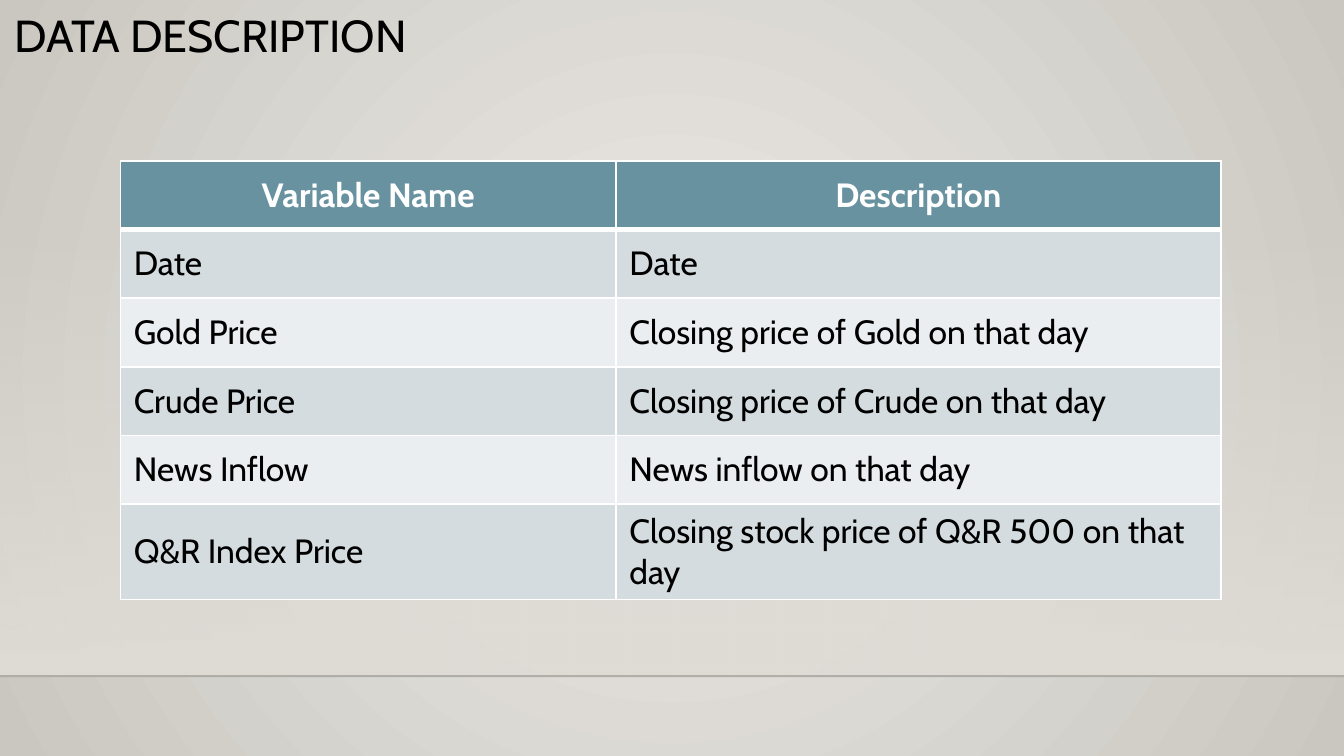
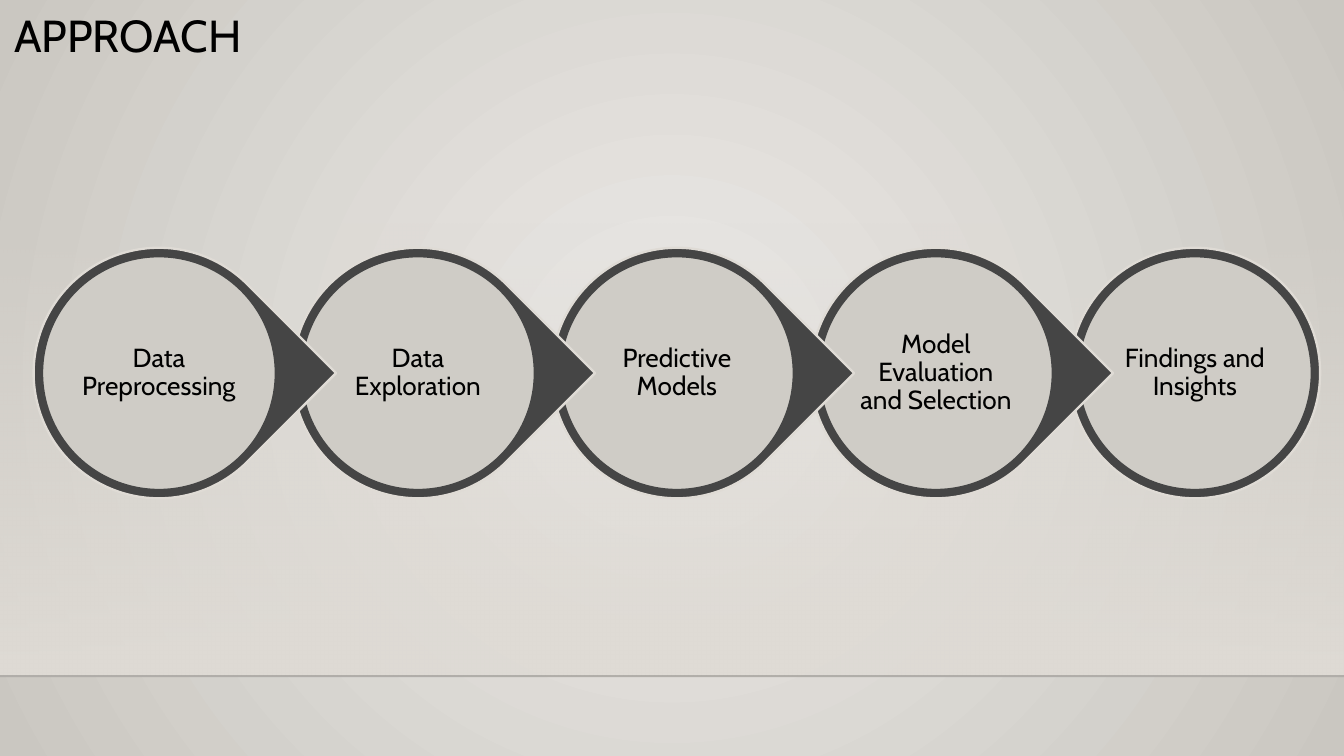
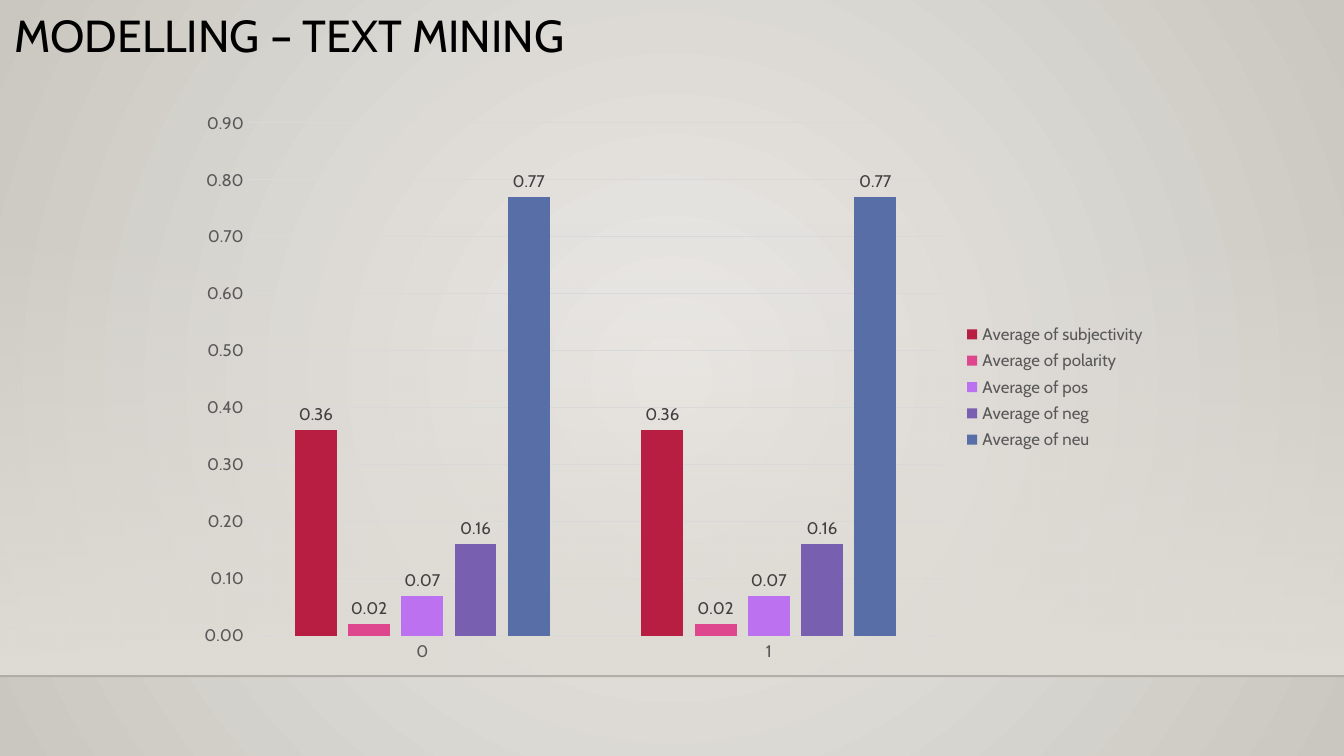
from lxml.etree import SubElement
from pptx import Presentation
from pptx.chart.data import CategoryChartData
from pptx.dml.color import RGBColor
from pptx.enum.chart import XL_CHART_TYPE as ChartType
from pptx.enum.chart import XL_LABEL_POSITION as LabelPosition
from pptx.enum.chart import XL_LEGEND_POSITION as LegendPosition
from pptx.enum.chart import XL_TICK_MARK as TickMark
from pptx.enum.shapes import MSO_CONNECTOR as Connector
from pptx.enum.shapes import MSO_SHAPE as Preset
from pptx.enum.text import MSO_ANCHOR as Anchor
from pptx.enum.text import MSO_AUTO_SIZE as AutoSize
from pptx.enum.text import PP_ALIGN as Align
from pptx.oxml import parse_xml
from pptx.oxml.ns import nsdecls, qn
from pptx.util import Pt

PX = 9525
WIDTH, HEIGHT = 960, 540
FLOOR = 483
TITLE_ONLY = 5

FONT = "Cabin"
BLACK = RGBColor(0x00, 0x00, 0x00)
WHITE = RGBColor(0xFF, 0xFF, 0xFF)
GLOW = RGBColor(0xEC, 0xEA, 0xE7)
EDGE = RGBColor(0xCA, 0xC7, 0xC1)
SAND = RGBColor(0xDF, 0xDB, 0xD5)
FLOOR_LINE = RGBColor(0x00, 0x00, 0x01)
CHARCOAL = RGBColor(0x45, 0x45, 0x45)
TEAL = RGBColor(0x68, 0x92, 0xA0)
ODD_ROW = RGBColor(0xD4, 0xDC, 0xDF)
EVEN_ROW = RGBColor(0xEB, 0xEE, 0xF0)
AXIS_TEXT = RGBColor(0x59, 0x59, 0x59)
LABEL_TEXT = RGBColor(0x40, 0x40, 0x40)
GRID = RGBColor(0xD9, 0xD9, 0xD9)
CRIMSON = RGBColor(0xB7, 0x1E, 0x42)
PINK = RGBColor(0xDE, 0x47, 0x8E)
LILAC = RGBColor(0xBC, 0x72, 0xF0)
VIOLET = RGBColor(0x79, 0x5F, 0xAF)
BLUE = RGBColor(0x58, 0x6E, 0xA6)

VARIABLES = [
    ("Variable Name", "Description"),
    ("Date", "Date"),
    ("Gold Price", "Closing price of Gold on that day"),
    ("Crude Price", "Closing price of Crude on that day"),
    ("News Inflow", "News inflow on that day"),
    ("Q&R Index Price", "Closing stock price of Q&R 500 on that day"),
]
STEPS = [
    "Data Preprocessing",
    "Data Exploration",
    "Predictive Models",
    "Model Evaluation and Selection",
    "Findings and Insights",
]
SENTIMENT = [
    ("Average of subjectivity", (0.36, 0.36), CRIMSON),
    ("Average of polarity", (0.02, 0.02), PINK),
    ("Average of pos", (0.07, 0.07), LILAC),
    ("Average of neg", (0.16, 0.16), VIOLET),
    ("Average of neu", (0.77, 0.77), BLUE),
]


def px(*lengths):
    return [length * PX for length in lengths]


def set_font(font, size, color, bold=False):
    font.name, font.size, font.bold = FONT, Pt(size), bold
    font.color.rgb = color


def set_alpha(shape, percent):
    """Make the first solid colour of a shape or connector see-through."""
    color = shape.element.find(f".//{qn('a:solidFill')}/{qn('a:srgbClr')}")
    SubElement(color, qn("a:alpha"), val=str(percent * 1000))


def set_gradient(fill, element, stops, direction):
    """Fill with (position, colour, alpha) stops; direction is the XML of the shading."""
    fill.gradient()
    stop_xml = "".join(
        f'<a:gs pos="{position * 1000}"><a:srgbClr val="{color}">'
        f'<a:alpha val="{alpha * 1000}"/></a:srgbClr></a:gs>'
        for position, color, alpha in stops)
    default = element.find(f".//{qn('a:gradFill')}")
    default.getparent().replace(default, parse_xml(
        f'<a:gradFill rotWithShape="1" {nsdecls("a")}>'
        f"<a:gsLst>{stop_xml}</a:gsLst>{direction}</a:gradFill>"))


def add_border(cell, side, points, color):
    """Add a border on side L, R, T or B, in that order and before the cell's fill."""
    cell._tc.get_or_add_tcPr().append(parse_xml(
        f'<a:ln{side} w="{Pt(points)}" {nsdecls("a")}>'
        f'<a:solidFill><a:srgbClr val="{color}"/></a:solidFill></a:ln{side}>'))


class Deck:
    def __init__(self):
        self.presentation = Presentation()
        self.presentation.slide_width, self.presentation.slide_height = px(WIDTH, HEIGHT)
        self.slide = None

    def add_slide(self, title, title_height=96):
        layout = self.presentation.slide_layouts[TITLE_ONLY]
        self.slide = self.presentation.slides.add_slide(layout)
        heading = self.slide.shapes.title
        heading.left, heading.top, heading.width, heading.height = px(0, 0, 739, title_height)
        self.set_text(heading.text_frame, title, 24, Anchor.TOP, Align.LEFT, 10)

    def set_text(self, frame, text, size, anchor, align, inset):
        frame.word_wrap, frame.auto_size = True, AutoSize.NONE
        frame.vertical_anchor = anchor
        frame.margin_left, frame.margin_top, frame.margin_right, frame.margin_bottom = px(*[inset] * 4)
        paragraph = frame.paragraphs[0]
        paragraph.text = text
        paragraph.alignment, paragraph.line_spacing = align, 0.9
        set_font(paragraph.font, size, BLACK)

    def label(self, text, *box):
        frame = self.slide.shapes.add_textbox(*px(*box)).text_frame
        self.set_text(frame, text, 14, Anchor.MIDDLE, Align.CENTER, 2)

    def shape(self, preset, box, fill, line=None):
        shape = self.slide.shapes.add_shape(preset, *px(*box))
        shape.shadow.inherit = False
        shape.fill.solid()
        shape.fill.fore_color.rgb = fill
        if line is None:
            shape.line.fill.background()
        else:
            shape.line.color.rgb = line
            shape.line.width = Pt(1.25)
        return shape

    def line(self, start, end, color):
        line = self.slide.shapes.add_connector(Connector.STRAIGHT, *px(*start, *end))
        line.line.color.rgb = color
        line.line.width = Pt(1)
        SubElement(line.element.spPr, qn("a:effectLst"))
        return line

    def table(self, rows, left, top, column_widths, row_height):
        size = sum(column_widths), row_height * len(rows)
        table = self.slide.shapes.add_table(
            len(rows), len(column_widths), *px(left, top, *size)).table
        for column, width in zip(table.columns, px(*column_widths)):
            column.width = width
        for r, texts in enumerate(rows):
            fill = TEAL if r == 0 else ODD_ROW if r % 2 else EVEN_ROW
            for c, text in enumerate(texts):
                cell = table.cell(r, c)
                for side in "LRTB":
                    thick = (r, side) in ((0, "B"), (1, "T"))
                    add_border(cell, side, 3 if thick else 1, WHITE)
                cell.fill.solid()
                cell.fill.fore_color.rgb = fill
                cell.vertical_anchor = Anchor.MIDDLE
                paragraph = cell.text_frame.paragraphs[0]
                paragraph.text = text
                paragraph.alignment = Align.LEFT if r else Align.CENTER
                set_font(paragraph.font, 18, BLACK if r else WHITE, bold=r == 0)

    def column_chart(self, categories, series, *box):
        data = CategoryChartData(number_format="0.00")
        data.categories = categories
        for name, values, _ in series:
            data.add_series(name, values)
        chart = self.slide.shapes.add_chart(
            ChartType.COLUMN_CLUSTERED, *px(*box), data).chart
        set_font(chart.font, 10, BLACK)
        chart.has_title = False
        chart.has_legend = True
        chart.legend.position = LegendPosition.RIGHT
        chart.legend.include_in_layout = False
        set_font(chart.legend.font, 9, AXIS_TEXT)

        plot = chart.plots[0]
        plot.vary_by_categories = False
        plot.gap_width, plot.overlap = 219, -27
        for drawn, (_, _, color) in zip(plot.series, series):
            drawn.format.fill.solid()
            drawn.format.fill.fore_color.rgb = color
            labels = drawn.data_labels
            labels.show_value = True
            labels.position = LabelPosition.OUTSIDE_END
            labels.number_format, labels.number_format_is_linked = "0.00", False
            set_font(labels.font, 9, LABEL_TEXT)

        names, scale = chart.category_axis, chart.value_axis
        for axis in (names, scale):
            axis.major_tick_mark = axis.minor_tick_mark = TickMark.NONE
            set_font(axis.tick_labels.font, 9, AXIS_TEXT)
        scale.minimum_scale, scale.maximum_scale, scale.major_unit = 0, 0.9, 0.1
        scale.tick_labels.number_format = "0.00"
        scale.tick_labels.number_format_is_linked = False
        scale.format.line.fill.background()
        for line in (names.format.line, scale.major_gridlines.format.line):
            line.color.rgb = GRID
            line.width = Pt(0.75)

    def furnish_master(self):
        """Set the shared background, then draw wall and floor line and move them to the master."""
        master = self.presentation.slide_master
        set_gradient(
            master.background.fill, master.element, [(0, GLOW, 100), (100, EDGE, 100)],
            '<a:path path="circle"><a:fillToRect l="50000" t="50000" r="50000" b="50000"/></a:path>')
        wall = self.shape(Preset.RECTANGLE, (0, 159, WIDTH, FLOOR - 159), SAND)
        set_gradient(wall.fill, wall.element, [(0, SAND, 0), (100, SAND, 100)],
                     '<a:lin ang="5400000" scaled="0"/>')
        floor = self.line((0, FLOOR), (WIDTH, FLOOR), FLOOR_LINE)
        set_alpha(floor, 20)
        for order, part in enumerate((wall, floor)):
            part.element.find(f".//{qn('p:cNvPr')}").set("id", str(100 + order))
            master.element.cSld.spTree.insert(2 + order, part.element)


def add_process(deck, steps):
    """Draw the steps from last to first, so that each pointer overlaps the next circle."""
    left, top, pitch, ring_size = 24, 177, 185, 179
    last = len(steps) - 1

    def inset(x, gap):
        return x + gap, top + gap, ring_size - 2 * gap, ring_size - 2 * gap

    for i in range(last, -1, -1):
        x = left + i * pitch
        ring = deck.shape(Preset.OVAL if i == last else Preset.TEAR, inset(x, 0), CHARCOAL, SAND)
        if i < last:
            ring.rotation = 45
        disc = deck.shape(Preset.OVAL, inset(x, 6), SAND, CHARCOAL)
        set_alpha(disc, 90)
        deck.label(steps[i], *inset(x, 30))


def main():
    deck = Deck()
    deck.add_slide("DATA DESCRIPTION")
    deck.furnish_master()
    deck.table(VARIABLES, 86, 115, (354, 432), 49)

    deck.add_slide("APPROACH")
    add_process(deck, STEPS)

    deck.add_slide("MODELLING – TEXT MINING", title_height=61)
    deck.column_chart(("0", "1"), SENTIMENT, 132, 72, 696, 409)

    deck.presentation.save("out.pptx")


if __name__ == "__main__":
    main()
